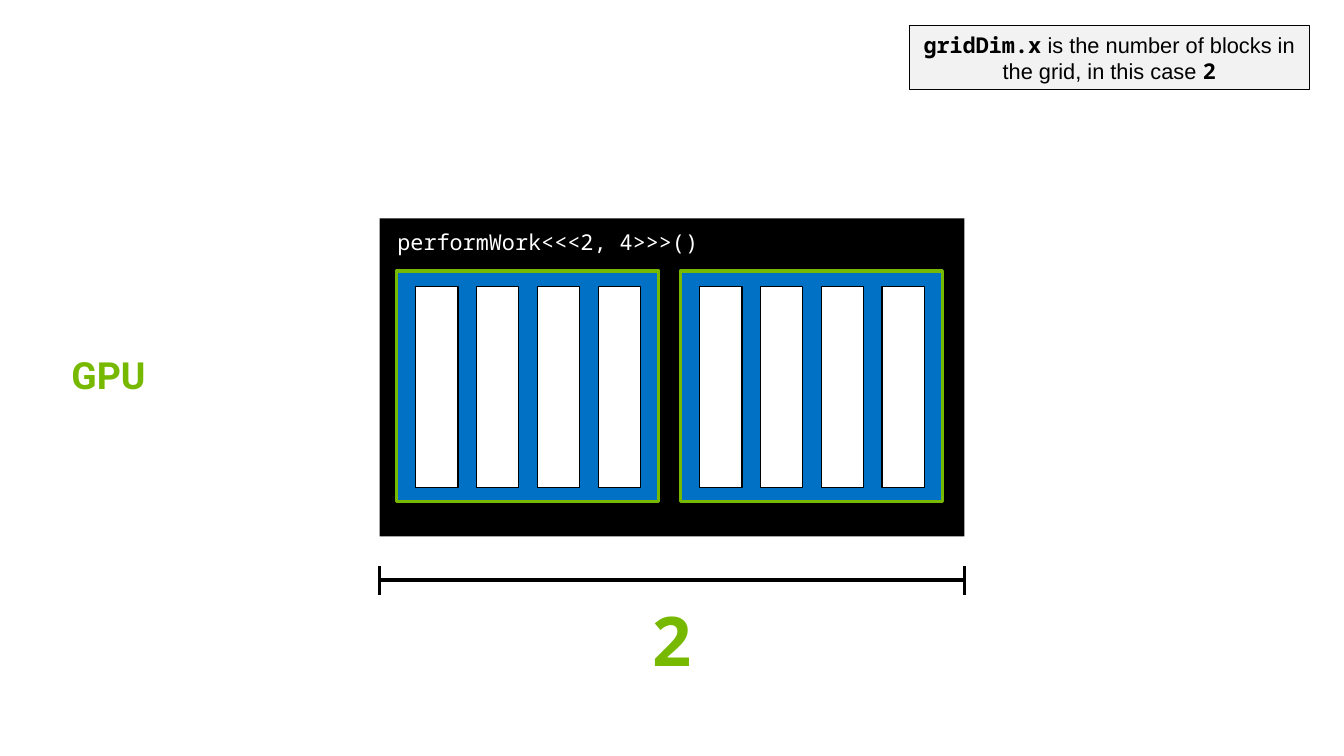
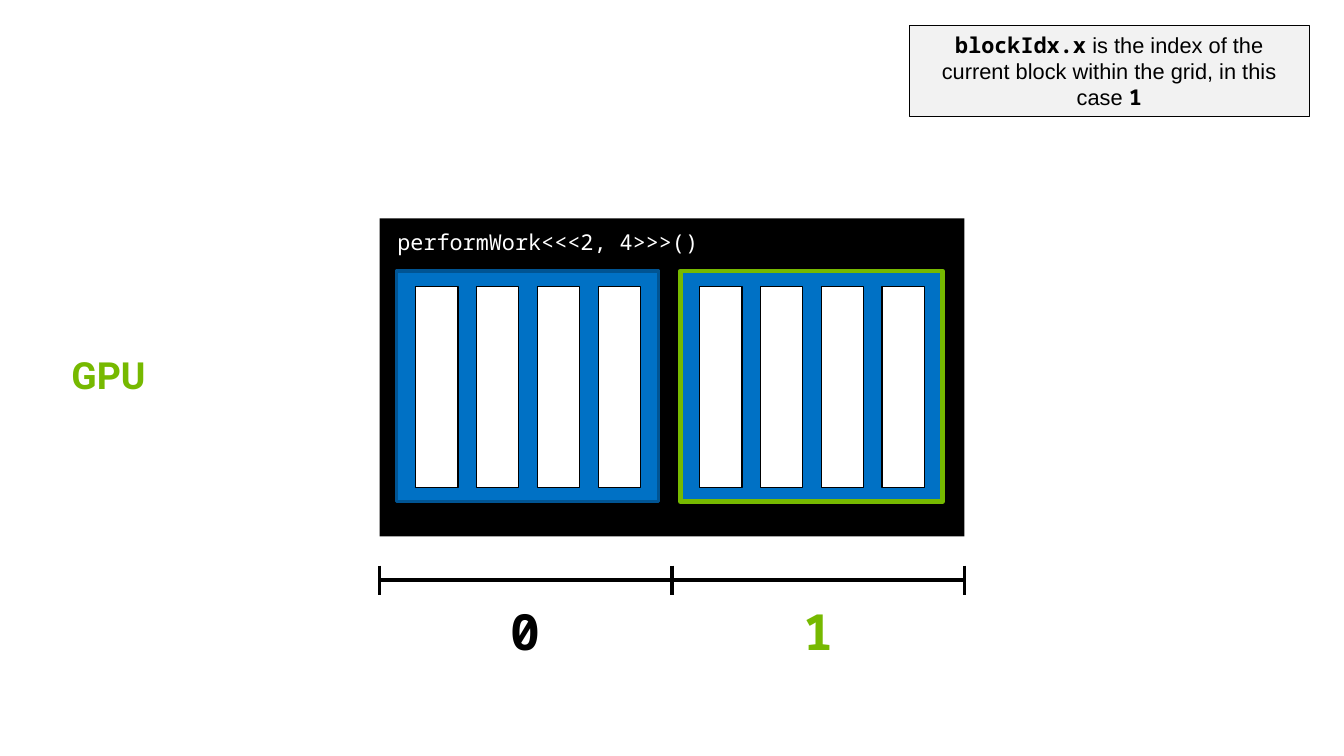
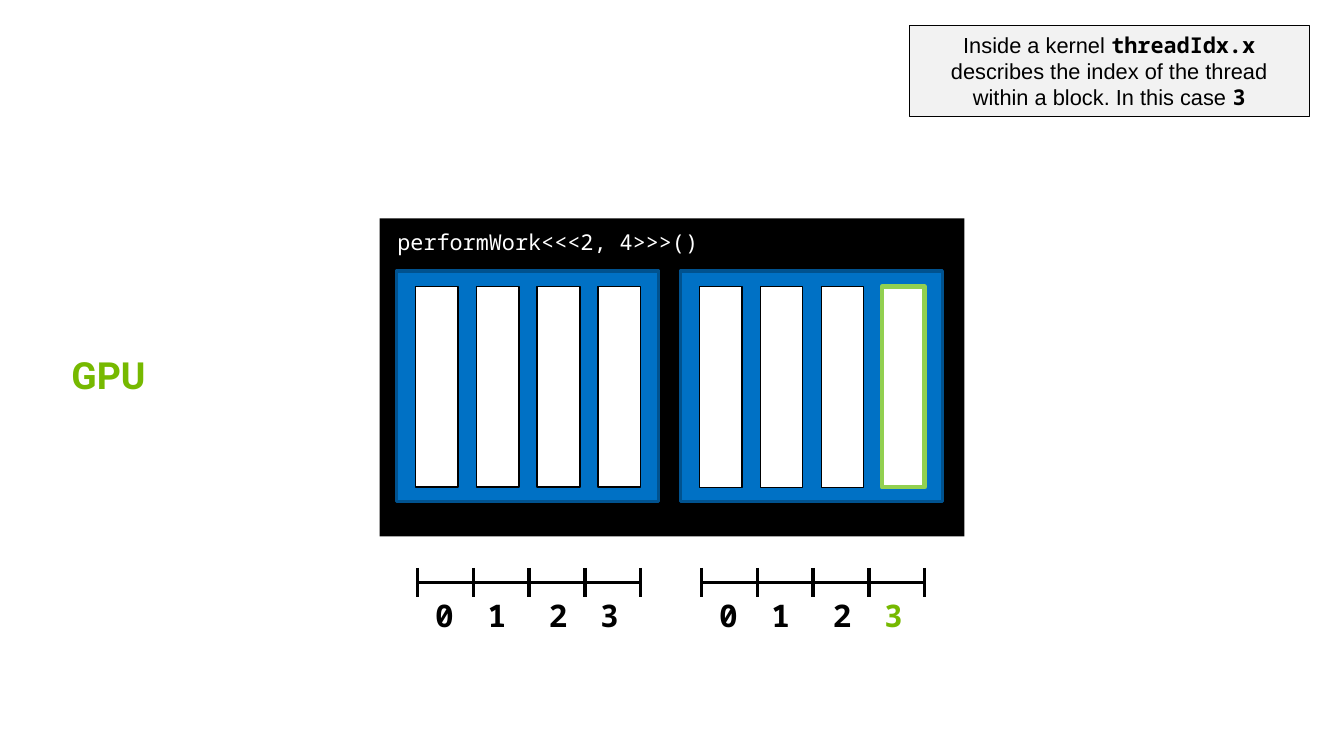
from lxml import etree
from pptx import Presentation
from pptx import util as u
from pptx.dml import color
from pptx.enum import shapes, text
from pptx.oxml import ns

# Shared look
MONO, SANS, HEAD = "Noto Sans Mono", "Arial", "Roboto"
BLACK, WHITE, GREEN, BLUE, GREY = "000000", "FFFFFF", "76B900", "0071C5", "F2F2F2"
hue = color.RGBColor.from_string
MID, TOP, LOW = text.MSO_ANCHOR.MIDDLE, text.MSO_ANCHOR.TOP, text.MSO_ANCHOR.BOTTOM
LEFT, MAIN = text.PP_ALIGN.LEFT, text.PP_ALIGN.CENTER

# Shared layout, in inches
PITCH = 2.535          # from one block to the next
STEP = 1.63 / 3        # from one thread to the next
THIN = (BLACK, 0.75)   # line colour and width


def box(host, at, *runs, fill=None, edge=None, size=14, ink=BLACK,
        align=MAIN, anchor=MID, space=None):
    """Add a rectangle, or a text box if it has no fill; a run is (text, font, bold)."""
    place = [u.Inches(n) for n in at]
    if fill:
        item = host.add_shape(shapes.MSO_SHAPE.RECTANGLE, *place)
        item.shadow.inherit = False
        item.fill.solid()
        item.fill.fore_color.rgb = hue(fill)
        if edge:
            item.line.color.rgb = hue(edge[0])
            item.line.width = u.Pt(edge[1])
        else:
            item.line.fill.background()
    else:
        item = host.add_textbox(*place)
    frame = item.text_frame
    frame.word_wrap = True
    frame.vertical_anchor = anchor
    para = frame.paragraphs[0]
    para.alignment = align
    if space:
        para.line_spacing = space
    for words, font, bold in runs:
        run = para.add_run()
        run.text = words
        run.font.name, run.font.size, run.font.bold = font, u.Pt(size), bold
        run.font.color.rgb = hue(ink)


def rule(host, *ends):
    """Add a black line from (x1, y1) to (x2, y2)."""
    line = host.add_connector(shapes.MSO_CONNECTOR.STRAIGHT, *[u.Inches(n) for n in ends])
    line.line.color.rgb = hue(BLACK)
    line.line.width = u.Pt(2.25)
    etree.SubElement(line._element.spPr, ns.qn("a:effectLst"))


# What differs: note, block edges, thread edges and scales.
# A scale is left, right, y, labels with colours, label size and box, nudges.
views = [
    dict(
        tall=0.57,
        note=[("gridDim.x", MONO, True),
              (" is the number of blocks in the grid, in this case ", SANS, False),
              ("2", MONO, True)],
        blocks=[(GREEN, 2)] * 2,
        threads=[[THIN] * 4] * 2,
        scales=[(3.39, 8.61, 5.18, [("2", GREEN)], 44, (5.29, 0.68, 0.84), [0])],
    ),
    dict(
        tall=0.81,
        note=[("blockIdx.x", MONO, True),
              (" is the index of the current block within the grid, in this case ", SANS, False),
              ("1", MONO, True)],
        blocks=[("005493", 2.25), (GREEN, 3)],
        threads=[[THIN] * 4] * 2,
        scales=[(3.39, 8.61, 5.18, [("0", BLACK), ("1", GREEN)], 32,
                 (5.31, 0.68, 0.64), [0, 0])],
    ),
    dict(
        tall=0.81,
        note=[("Inside a kernel ", SANS, False), ("threadIdx.x", MONO, True),
              (" describes the index of the thread within a block. In this case ", SANS, False),
              ("3", MONO, True)],
        blocks=[("00528F", 2)] * 2,
        threads=[[(BLACK, 1)] * 4, [THIN] * 3 + [("92D050", 3)]],
        scales=[(3.73 + PITCH * i, 5.72 + PITCH * i, 5.2,
                 [("0", BLACK), ("1", BLACK), ("2", BLACK), ("3", last)], 20,
                 (5.27, 0.52, 0.44), [-0.01, -0.04, 0.01, -0.03])
                for i, last in enumerate([BLACK, GREEN])],
    ),
]

deck = Presentation()
deck.slide_width, deck.slide_height = u.Inches(12), u.Inches(6.75)

for view in views:
    page = deck.slides.add_slide(deck.slide_layouts[6]).shapes

    # Note and side title
    box(page, (8.12, 0.23, 3.57, view["tall"]), *view["note"],
        fill=GREY, edge=THIN, anchor=TOP)
    box(page, (0.54, 3.14, 0.97, 0.46), ("GPU", HEAD, True),
        size=24, ink=GREEN, align=LEFT, anchor=LOW, space=0.9)

    # Grid with its blocks and threads
    grid = page.add_group_shape().shapes
    box(grid, (3.39, 1.95, 5.22, 2.84), fill=BLACK)
    box(grid, (3.45, 1.99, 3.06, 0.34), ("performWork<<<2, 4>>>()", MONO, False),
        fill=BLACK, ink=WHITE, align=LEFT)
    for i, edge in enumerate(view["blocks"]):
        box(grid, (3.54 + PITCH * i, 2.42, 2.34, 2.06), fill=BLUE, edge=edge)
        for j, trim in enumerate(view["threads"][i]):
            box(grid, (3.71 + PITCH * i + STEP * j, 2.56, 0.38, 1.79), fill=WHITE, edge=trim)

    # Scales: a bar, a tick at each bound, a label for each part
    for left, right, y, labels, size, (top, wide, high), shifts in view["scales"]:
        scale = page.add_group_shape().shapes
        part = (right - left) / len(labels)
        rule(scale, left, y, right, y)
        for i in range(len(labels) + 1):
            x = left + part * i
            rule(scale, x, y - 0.13, x, y + 0.13)
        for i, (label, ink) in enumerate(labels):
            x = left + part * (i + 0.5) - wide / 2 + shifts[i]
            box(scale, (x, top, wide, high), (label, MONO, True), size=size, ink=ink)

deck.save("out.pptx")
